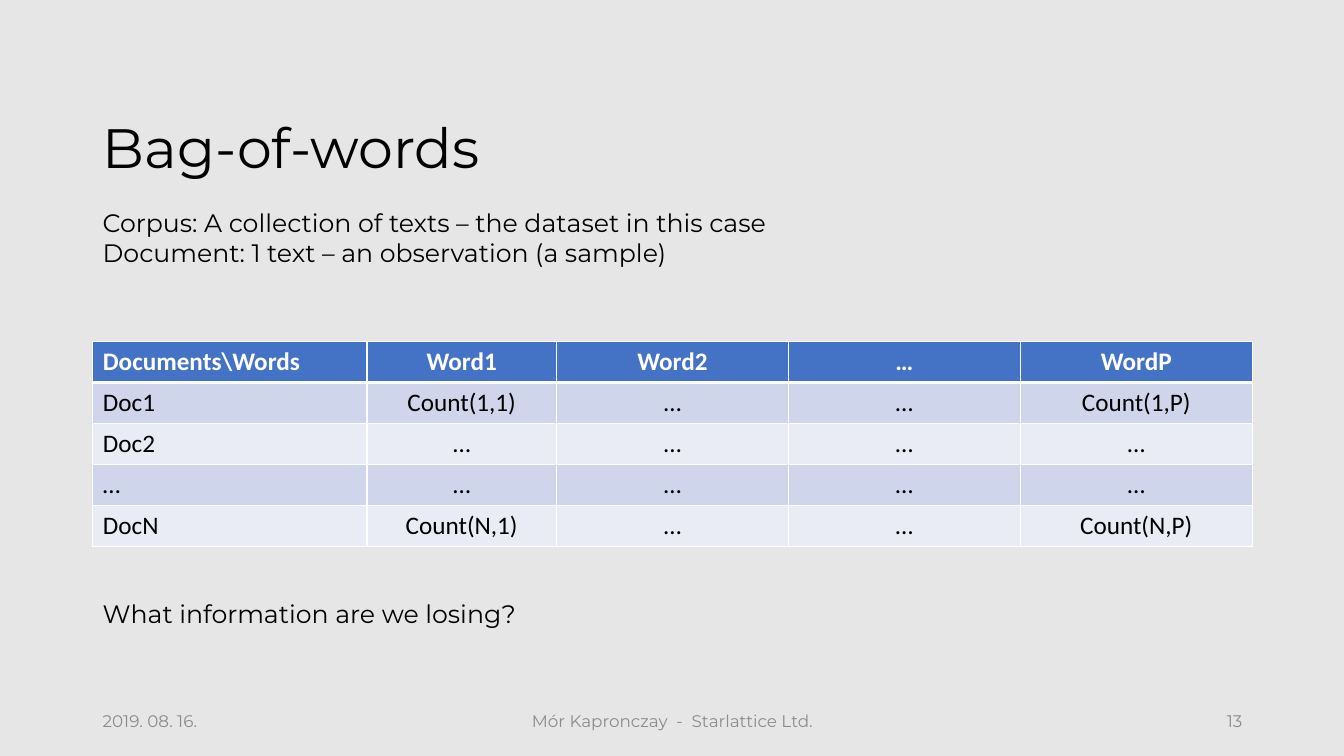
from lxml.etree import SubElement
from pptx import Presentation
from pptx.dml.color import RGBColor
from pptx.enum.text import MSO_ANCHOR as Anchor, MSO_AUTO_SIZE as AutoSize, PP_ALIGN as Align
from pptx.oxml.ns import qn
from pptx.util import Inches, Pt

BACKGROUND = RGBColor(0xE7, 0xE6, 0xE6)
BLACK = RGBColor(0, 0, 0)
WHITE = RGBColor(0xFF, 0xFF, 0xFF)
GREY = RGBColor(0x8C, 0x8C, 0x8C)
HEADER_BLUE = RGBColor(0x44, 0x72, 0xC4)
BANDS = [RGBColor(0xE9, 0xEB, 0xF5), RGBColor(0xCF, 0xD5, 0xEA)]
LEFT, WIDTH = 0.92, 11.5


def write(frame, lines, size, color, align=Align.LEFT, font="Montserrat", bold=False):
    frame.text = "\n".join(lines)
    frame.word_wrap = True
    for paragraph in frame.paragraphs:
        paragraph.alignment = align
        style = {"name": font, "size": Pt(size), "bold": bold}
        for key, value in style.items():
            setattr(paragraph.runs[0].font, key, value)
        paragraph.runs[0].font.color.rgb = color


def add_border(cell, side, points):
    line = SubElement(cell._tc.get_or_add_tcPr(), qn(f"a:{side}"), w=str(Pt(points)))
    fill = SubElement(line, qn("a:solidFill"))
    SubElement(fill, qn("a:srgbClr"), val=str(WHITE))


prs = Presentation()
prs.slide_width, prs.slide_height = Inches(13.33), Inches(7.5)
slide = prs.slides.add_slide(prs.slide_layouts[5])
slide.background.fill.solid()
slide.background.fill.fore_color.rgb = BACKGROUND

title = slide.shapes.title
title_box = {"left": LEFT, "top": 1.14, "width": WIDTH, "height": 0.71}
for key, value in title_box.items():
    setattr(title, key, Inches(value))
write(title.text_frame, ["Bag-of-words"], 39.6, BLACK)
title.text_frame.auto_size = AutoSize.NONE
title.text_frame.vertical_anchor = Anchor.MIDDLE
title.text_frame.paragraphs[0].line_spacing = 0.9

counts = [
    ["Documents\\Words", "Word1", "Word2", "…", "WordP"],
    ["Doc1", "Count(1,1)", "…", "…", "Count(1,P)"],
    ["Doc2", "…", "…", "…", "…"],
    ["…", "…", "…", "…", "…"],
    ["DocN", "Count(N,1)", "…", "…", "Count(N,P)"],
]
matrix = slide.shapes.add_table(
    len(counts), len(counts[0]), Inches(LEFT), Inches(3.39), Inches(WIDTH), Inches(2.03)
).table
for column, width in zip(matrix.columns, [2.72, 1.88, 2.3, 2.3, 2.3]):
    column.width = Inches(width)
for r, row in enumerate(counts):
    header = r == 0
    for c, label in enumerate(row):
        cell = matrix.cell(r, c)
        write(cell.text_frame, [label], 18, WHITE if header else BLACK,
              Align.CENTER if c else Align.LEFT, "Calibri", header)
        borders = {"lnL": 1, "lnR": 1, "lnT": 3 if r == 1 else 1, "lnB": 3 if header else 1}
        for side, points in borders.items():
            add_border(cell, side, points)
        cell.fill.solid()
        cell.fill.fore_color.rgb = HEADER_BLUE if header else BANDS[r % 2]

definitions = [
    "Corpus: A collection of texts – the dataset in this case",
    "Document: 1 text – an observation (a sample)",
]
texts = [
    (LEFT, 2.01, WIDTH, 0.71, definitions, 18, BLACK, Align.LEFT, Anchor.TOP),
    (LEFT, 5.89, WIDTH, 0.4, ["What information are we losing?"], 18, BLACK, Align.LEFT, Anchor.TOP),
    (LEFT, 6.95, 3, 0.4, ["2019. 08. 16."], 12, GREY, Align.LEFT, Anchor.MIDDLE),
    (4.42, 6.95, 4.5, 0.4, ["Mór Kapronczay  -  Starlattice Ltd."], 12, GREY, Align.CENTER, Anchor.MIDDLE),
    (9.42, 6.95, 3, 0.4, ["13"], 12, GREY, Align.RIGHT, Anchor.MIDDLE),
]
for left, top, width, height, lines, size, color, align, anchor in texts:
    frame = slide.shapes.add_textbox(
        Inches(left), Inches(top), Inches(width), Inches(height)
    ).text_frame
    write(frame, lines, size, color, align)
    frame.vertical_anchor = anchor

prs.save("out.pptx")
